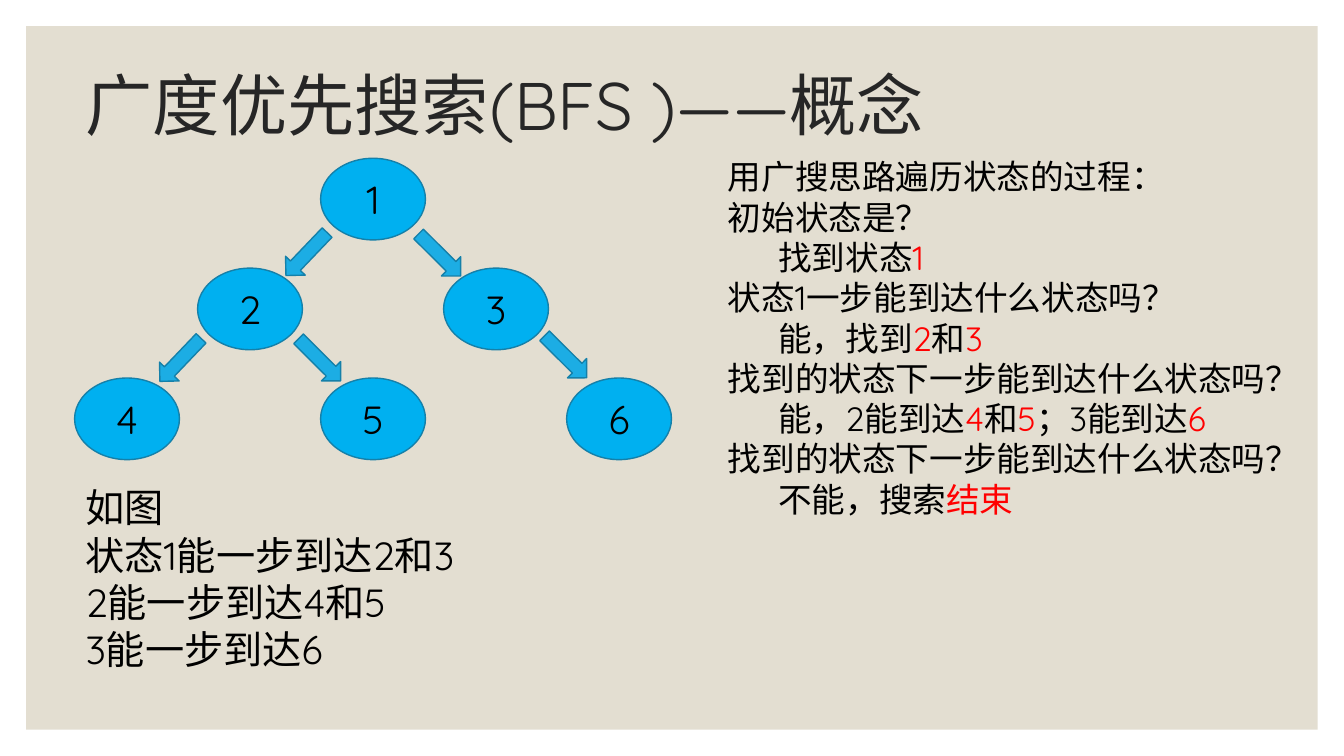
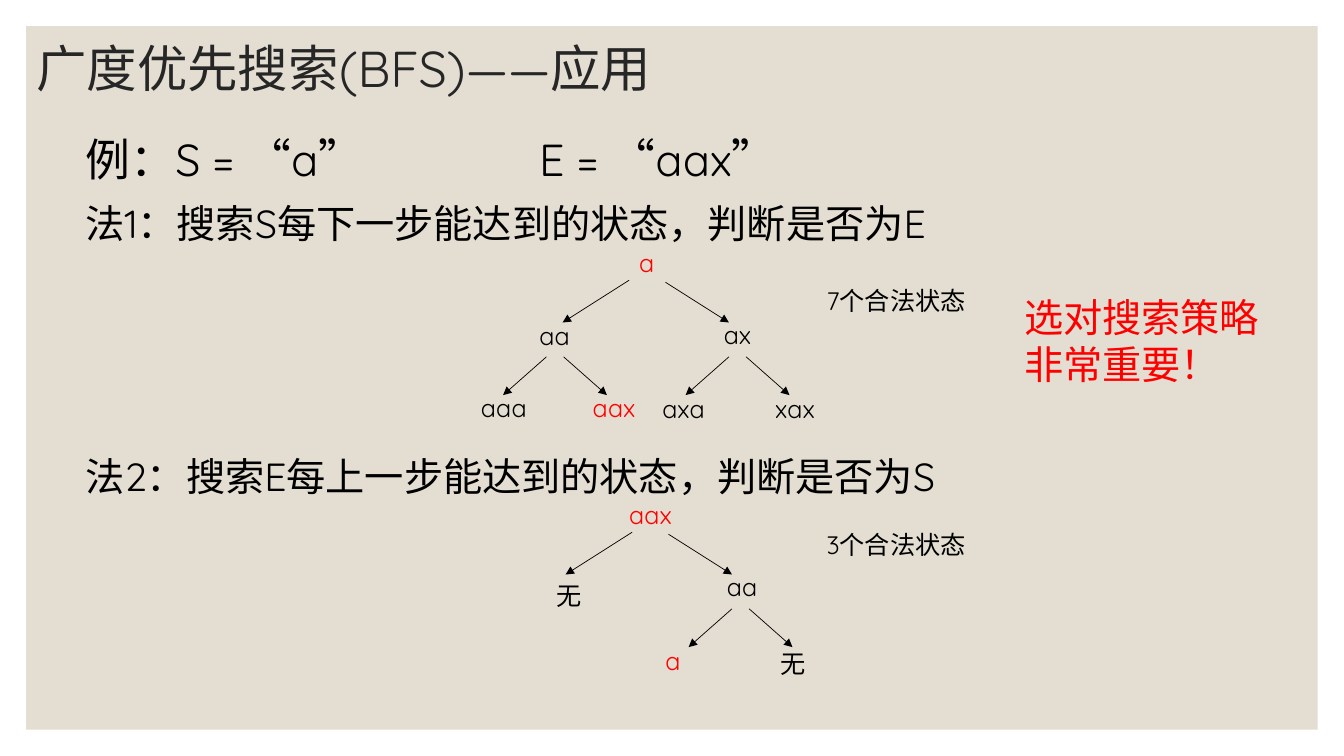
from lxml import etree
from pptx import Presentation
from pptx.dml.color import RGBColor
from pptx.enum.lang import MSO_LANGUAGE_ID
from pptx.enum.shapes import MSO_CONNECTOR, MSO_SHAPE
from pptx.enum.text import MSO_ANCHOR, MSO_AUTO_SIZE, PP_ALIGN
from pptx.oxml.ns import qn
from pptx.util import Inches, Pt

WIDTH, HEIGHT, MARGIN = 13.33, 7.5, 0.26
FONT = "Quicksand"
BLACK, RED, TITLE_COLOR = "000000", "FF0000", "262626"
PANEL, NODE_FILL, ARROW_FILL, OUTLINE = "E3DED1", "00B0F0", "1CADE4", "1580A9"

# Text between asterisks is red; a leading ">" indents the line.
CONCEPT_TITLE = "广度优先搜索(BFS )——概念"
CONCEPT_TEXTS = [
    ((0.75, 4.75, 5.92, 1.99), 28, [
        "如图",
        "状态1能一步到达2和3",
        "2能一步到达4和5",
        "3能一步到达6",
    ]),
    ((7.12, 1.5, 5.92, 3.74), 24, [
        "用广搜思路遍历状态的过程：",
        "初始状态是？",
        ">找到状态*1*",
        "状态1一步能到达什么状态吗？",
        ">能，找到*2*和*3*",
        "找到的状态下一步能到达什么状态吗？",
        ">能，2能到达*4*和*5*；3能到达*6*",
        "找到的状态下一步能到达什么状态吗？",
        ">不能，搜索*结束*",
    ]),
]

# State: (column, row)
STATES = {"1": (2, 0), "3": (3, 1), "2": (1, 1), "4": (0, 2), "5": (2, 2), "6": (4, 2)}
# Parent, child, shift of the arrow from the midpoint between them
STEPS = [
    ("1", "2", (-0.05, 0)),
    ("2", "4", (-0.08, -0.04)),
    ("1", "3", (0.05, 0.01)),
    ("2", "5", (0.08, -0.04)),
    ("3", "6", (0.08, -0.07)),
]
GRID_LEFT, GRID_TOP, COLUMN, ROW = 0.74, 1.57, 1.22, 1.09
NODE_WIDTH, NODE_HEIGHT = 1.04, 0.81
ARROW_WIDTH, ARROW_HEIGHT = 0.59, 0.27

USE_TITLE = "广度优先搜索(BFS)——应用"
USE_TEXTS = [
    ((0.75, 1.26, 7.6, 0.64), 32, ["例：S = “a”\tE = “aax”"]),
    ((0.75, 1.93, 12.32, 0.57), 28, ["法1：搜索S每下一步能达到的状态，判断是否为E"]),
    ((0.75, 4.44, 12.32, 0.57), 28, ["法2：搜索E每上一步能达到的状态，判断是否为S"]),
    ((8.1, 2.78, 4.08, 0.4), 18, ["7个合法状态"]),
    ((8.1, 5.2, 4.08, 0.4), 18, ["3个合法状态"]),
    ((10.06, 2.86, 2.61, 1.04), 28, ["*选对搜索策略非常重要！*"]),
]
EXAMPLE_TAB = 4.5

# Fork: start point, then (from, to) of each branch relative to it
LOWER_BRANCHES = [((0, 0), (-0.43, 0.38)), ((0.17, 0), (0.6, 0.38))]
FORKS = {
    "root": ((6.24, 2.78), [((0, 0), (-0.66, 0.42)), ((0.36, 0.02), (0.99, 0.42))]),
    "left": ((5.42, 3.54), LOWER_BRANCHES),
    "right": ((7.23, 3.54), LOWER_BRANCHES),
}
SEARCH_TREES = [
    {
        "offset": (0, 0),
        "forks": ["root", "left", "right"],
        "labels": [
            ("*a*", 6.24, 2.4), ("aa", 5.25, 3.13), ("ax", 7.08, 3.12),
            ("aaa", 4.67, 3.84), ("*aax*", 5.78, 3.84),
            ("axa", 6.47, 3.85), ("xax", 7.59, 3.85),
        ],
    },
    {
        "offset": (0.03, 2.5),
        "forks": ["root", "right"],
        "labels": [
            ("*aax*", 6.11, 2.4), ("无", 5.39, 3.21), ("aa", 7.08, 3.12),
            ("*a*", 6.47, 3.85), ("无", 7.61, 3.88),
        ],
    },
]


def color(value):
    return RGBColor.from_string(value)


def inches(values):
    return [Inches(value) for value in values]


def set_all(target, values):
    for name, value in values.items():
        setattr(target, name, value)


def add_run(paragraph, text, size, ink=BLACK):
    run = paragraph.add_run()
    run.text = text
    set_all(run.font, {
        "name": FONT,
        "size": Pt(size),
        "language_id": MSO_LANGUAGE_ID.SIMPLIFIED_CHINESE,
    })
    run.font.color.rgb = color(ink)


def add_tab_stop(properties, position):
    stops = etree.SubElement(properties, qn("a:tabLst"))
    etree.SubElement(stops, qn("a:tab"), pos=str(Inches(position)), algn="l")


def write_line(paragraph, line, size):
    """Write one line, applying the red, indent and tab marks."""
    properties = paragraph._p.get_or_add_pPr()
    if line.startswith(">"):
        properties.set("marL", str(Inches(0.5)))
    if "\t" in line:
        add_tab_stop(properties, EXAMPLE_TAB)
    for index, part in enumerate(line.lstrip(">").split("*")):
        if part:
            add_run(paragraph, part, size, RED if index % 2 else BLACK)


def add_text(slide, box, size, lines):
    frame = slide.shapes.add_textbox(*inches(box)).text_frame
    set_all(frame, {"word_wrap": True, "auto_size": MSO_AUTO_SIZE.SHAPE_TO_FIT_TEXT})
    for index, line in enumerate(lines):
        paragraph = frame.add_paragraph() if index else frame.paragraphs[0]
        write_line(paragraph, line, size)


def add_filled(slide, kind, box, fill, outline=None):
    shape = slide.shapes.add_shape(kind, *inches(box))
    shape.shadow.inherit = False
    shape.fill.solid()
    shape.fill.fore_color.rgb = color(fill)
    if outline:
        shape.line.color.rgb = color(outline)
        shape.line.width = Pt(1)
    else:
        shape.line.fill.background()
    return shape


def add_branch(slide, start, end):
    line = slide.shapes.add_connector(MSO_CONNECTOR.STRAIGHT, *inches(start + end))
    line.line.color.rgb = color(BLACK)
    line.line.width = Pt(0.5)
    etree.SubElement(line.line._get_or_add_ln(), qn("a:tailEnd"), type="triangle")
    etree.SubElement(line.element.spPr, qn("a:effectLst"))


def add_slide(presentation, title, box, size):
    slide = presentation.slides.add_slide(presentation.slide_layouts.get_by_name("Title Only"))
    shape = slide.shapes.title
    set_all(shape, dict(zip(("left", "top", "width", "height"), inches(box))))
    set_all(shape.text_frame, {
        "word_wrap": True,
        "auto_size": MSO_AUTO_SIZE.NONE,
        "vertical_anchor": MSO_ANCHOR.MIDDLE,
    })
    paragraph = shape.text_frame.paragraphs[0]
    set_all(paragraph, {"alignment": PP_ALIGN.LEFT, "line_spacing": 0.9})
    add_run(paragraph, title, size, TITLE_COLOR)
    return slide


def add_master_panel(presentation, slide):
    """Draw the background panel and move it to the back of the slide master."""
    box = (MARGIN, MARGIN, WIDTH - 2 * MARGIN, HEIGHT - 2 * MARGIN)
    panel = add_filled(slide, MSO_SHAPE.RECTANGLE, box, PANEL)
    presentation.slide_master.shapes.element.insert(2, panel.element)


def node_center(state):
    column, row = STATES[state]
    return (GRID_LEFT + column * COLUMN + NODE_WIDTH / 2,
            GRID_TOP + row * ROW + NODE_HEIGHT / 2)


def centered_box(x, y, width, height):
    return x - width / 2, y - height / 2, width, height


def add_state_tree(slide):
    for state in STATES:
        box = centered_box(*node_center(state), NODE_WIDTH, NODE_HEIGHT)
        node = add_filled(slide, MSO_SHAPE.OVAL, box, NODE_FILL, OUTLINE)
        node.text_frame.vertical_anchor = MSO_ANCHOR.MIDDLE
        paragraph = node.text_frame.paragraphs[0]
        paragraph.alignment = PP_ALIGN.CENTER
        add_run(paragraph, state, 28)
    for parent, child, shift in STEPS:
        start, end = node_center(parent), node_center(child)
        x, y = ((a + b) / 2 + move for a, b, move in zip(start, end, shift))
        box = centered_box(x, y, ARROW_WIDTH, ARROW_HEIGHT)
        arrow = add_filled(slide, MSO_SHAPE.RIGHT_ARROW, box, ARROW_FILL, OUTLINE)
        arrow.rotation = 133.7 if end[0] < start[0] else 44.9


def add_search_tree(slide, tree):
    left, top = tree["offset"]
    for text, x, y in tree["labels"]:
        add_text(slide, (left + x, top + y, 4.25, 0.4), 18, [text])
    for name in tree["forks"]:
        (x, y), branches = FORKS[name]
        for branch in branches:
            start, end = ((left + x + dx, top + y + dy) for dx, dy in branch)
            add_branch(slide, start, end)


def main():
    presentation = Presentation()
    presentation.slide_width, presentation.slide_height = inches((WIDTH, HEIGHT))

    concept = add_slide(presentation, CONCEPT_TITLE, (0.75, 0.33, 10.84, 1.5), 48)
    add_master_panel(presentation, concept)
    add_state_tree(concept)

    use = add_slide(presentation, USE_TITLE, (MARGIN, MARGIN, 6.58, 0.9), 36)
    for tree in SEARCH_TREES:
        add_search_tree(use, tree)

    for slide, texts in ((concept, CONCEPT_TEXTS), (use, USE_TEXTS)):
        for box, size, lines in texts:
            add_text(slide, box, size, lines)
    presentation.save("out.pptx")


if __name__ == "__main__":
    main()
